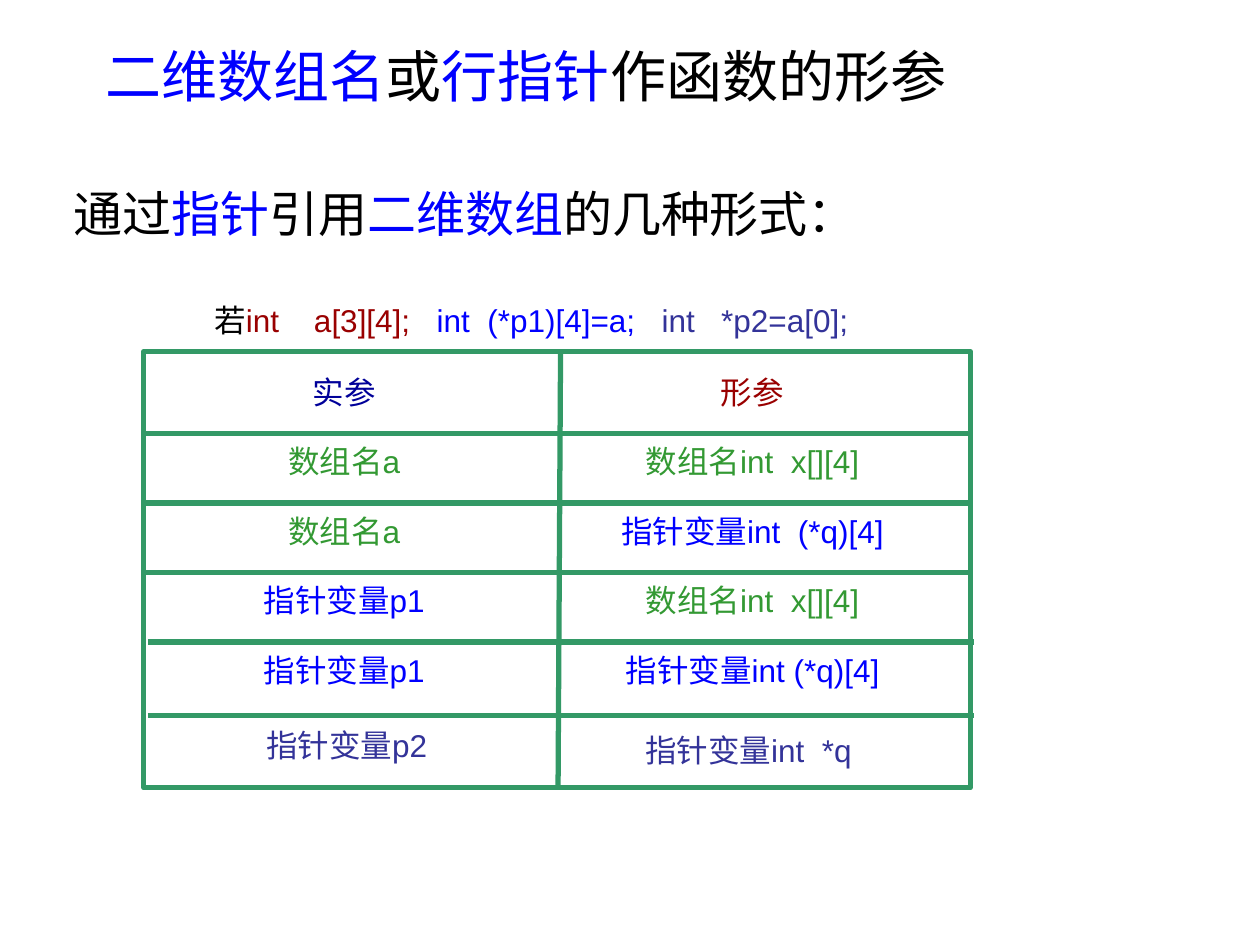
"""Build a slide on two-dimensional arrays and row pointers as function parameters."""
from dataclasses import dataclass

import lxml.etree
import pptx
import pptx.dml.color
import pptx.enum.shapes
import pptx.enum.text
import pptx.oxml.ns
import pptx.util

Cm = pptx.util.Cm
ALIGN = pptx.enum.text.PP_ALIGN
COLORS = {
    "white": "FFFFFF", "black": "000000", "blue": "0000FF", "navy": "000099",
    "red": "990000", "leaf": "339933", "indigo": "333399", "grid": "339966",
}
FRAME_LEFT, FRAME_TOP, FRAME_WIDTH, FRAME_HEIGHT = 2.9, 7.09, 16.66, 8.79
ROW_STEP = 1.4
LABEL_HEIGHT = 1.02


@dataclass
class Span:
    text: str
    color: str


@dataclass
class Label:
    spans: list[Span]
    center: float
    middle: float
    width: float


@dataclass
class Rule:
    left: float
    top: float
    right: float
    bottom: float


def rgb(name: str) -> pptx.dml.color.RGBColor:
    """Return the named colour."""
    return pptx.dml.color.RGBColor.from_string(COLORS[name])


def write(frame, spans: list[Span], size: int, align, wrap: bool = True) -> None:
    """Write coloured spans as one paragraph."""
    frame_format = {
        "word_wrap": wrap,
        "auto_size": pptx.enum.text.MSO_AUTO_SIZE.NONE,
        "vertical_anchor": pptx.enum.text.MSO_ANCHOR.MIDDLE,
    }
    for name, value in frame_format.items():
        setattr(frame, name, value)
    para = frame.paragraphs[0]
    para.alignment = align
    for span in spans:
        run = para.add_run()
        run.text = span.text
        for name, value in {"name": "Arial", "size": pptx.util.Pt(size)}.items():
            setattr(run.font, name, value)
        run.font.color.rgb = rgb(span.color)


def draw_label(page, label: Label) -> None:
    """Draw a centred label around its midpoint."""
    box = page.shapes.add_textbox(
        Cm(label.center - label.width / 2), Cm(label.middle - LABEL_HEIGHT / 2),
        Cm(label.width), Cm(LABEL_HEIGHT))
    write(box.text_frame, label.spans, 18, ALIGN.CENTER, wrap=False)


def style_line(line) -> None:
    """Give a line the grid colour and width."""
    line.color.rgb = rgb("grid")
    line.width = pptx.util.Pt(3)


def draw_rule(page, rule: Rule) -> None:
    """Draw one grid line without a shadow."""
    connector = page.shapes.add_connector(
        pptx.enum.shapes.MSO_CONNECTOR.STRAIGHT,
        Cm(rule.left), Cm(rule.top), Cm(rule.right), Cm(rule.bottom))
    style_line(connector.line)
    lxml.etree.SubElement(connector._element.spPr, pptx.oxml.ns.qn("a:effectLst"))


def draw_grid(page) -> None:
    """Draw the frame and its dividing lines."""
    frame = page.shapes.add_shape(
        pptx.enum.shapes.MSO_SHAPE.RECTANGLE,
        Cm(FRAME_LEFT), Cm(FRAME_TOP), Cm(FRAME_WIDTH), Cm(FRAME_HEIGHT))
    frame.shadow.inherit = False
    frame.fill.solid()
    frame.fill.fore_color.rgb = rgb("white")
    style_line(frame.line)
    rules = [Rule(11.3, FRAME_TOP, 11.25, 15.82)]
    heights = [8.74 + ROW_STEP * row for row in range(4)] + [14.43]
    for row, height in enumerate(heights):
        left = FRAME_LEFT + (0.08 if row >= 3 else 0)
        rules.append(Rule(left, height, left + FRAME_WIDTH, height))
    for rule in rules:
        draw_rule(page, rule)


def draw_cells(page) -> None:
    """Draw the argument and parameter columns."""
    array_name = (Span("数组名a", "leaf"), 2.92)
    pointer_name = (Span("指针变量p1", "blue"), 3.91)
    array_form = (Span("数组名int  x[][4]", "leaf"), 4.95)
    rows = [
        ((Span("实参", "navy"), 1.78), (Span("形参", "red"), 1.78)),
        (array_name, array_form),
        (array_name, (Span("指针变量int  (*q)[4]", "blue"), 5.94)),
        (pointer_name, array_form),
        (pointer_name, (Span("指针变量int (*q)[4]", "blue"), 5.77)),
    ]
    for row, cells in enumerate(rows):
        for center, (span, width) in zip((6.94, 15.17), cells):
            draw_label(page, Label([span], center, 7.9 + ROW_STEP * row, width))
    draw_label(page, Label([Span("指针变量p2", "indigo")], 6.99, 15.01, 3.91))
    draw_label(page, Label([Span("指针变量int  *q", "indigo")], 15.09, 15.11, 4.83))


def main() -> None:
    """Build and save the deck."""
    deck = pptx.Presentation()
    deck.slide_width, deck.slide_height = Cm(25.4), Cm(19.05)
    page = deck.slides.add_slide(deck.slide_layouts[5])
    draw_grid(page)
    draw_cells(page)
    draw_label(page, Label([
        Span("若", "black"), Span("int    a[3][4];   ", "red"),
        Span("int  (*p1)[4]=a;   ", "blue"), Span("int   *p2=a[0];", "indigo"),
    ], 10.71, 6.45, 13.44))

    title = page.shapes.title
    place = {"left": 0.79, "top": 0.74, "width": 19.63, "height": 1.55}
    for name, value in place.items():
        setattr(title, name, Cm(value))
    write(title.text_frame, [
        Span("二维数组名", "blue"), Span("或", "black"),
        Span("行指针", "blue"), Span("作函数的形参", "black"),
    ], 32, ALIGN.CENTER)

    subtitle = page.shapes.add_textbox(Cm(1.24), Cm(3.51), Cm(19.63), Cm(1.55))
    write(subtitle.text_frame, [
        Span("通过", "black"), Span("指针", "blue"), Span("引用", "black"),
        Span("二维数组", "blue"), Span("的几种形式：", "black"),
    ], 28, ALIGN.LEFT)
    deck.save("out.pptx")


if __name__ == "__main__":
    main()
